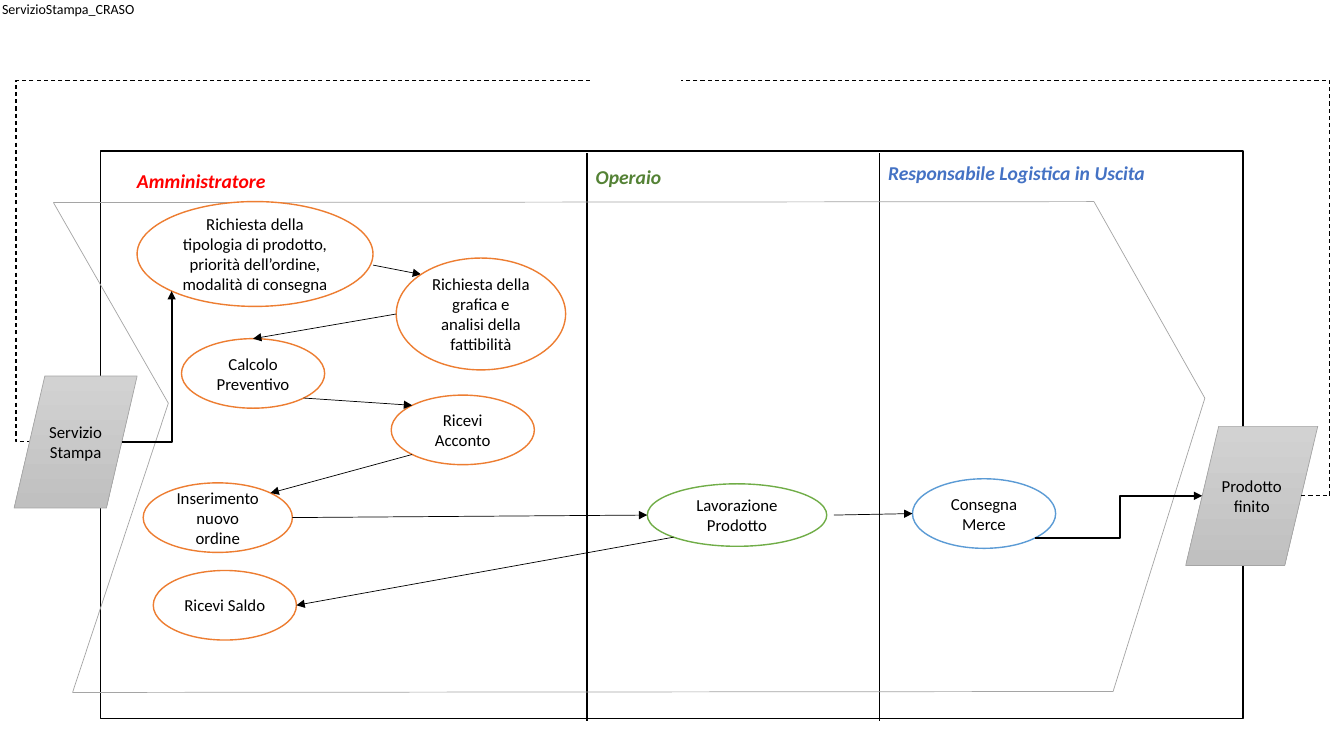
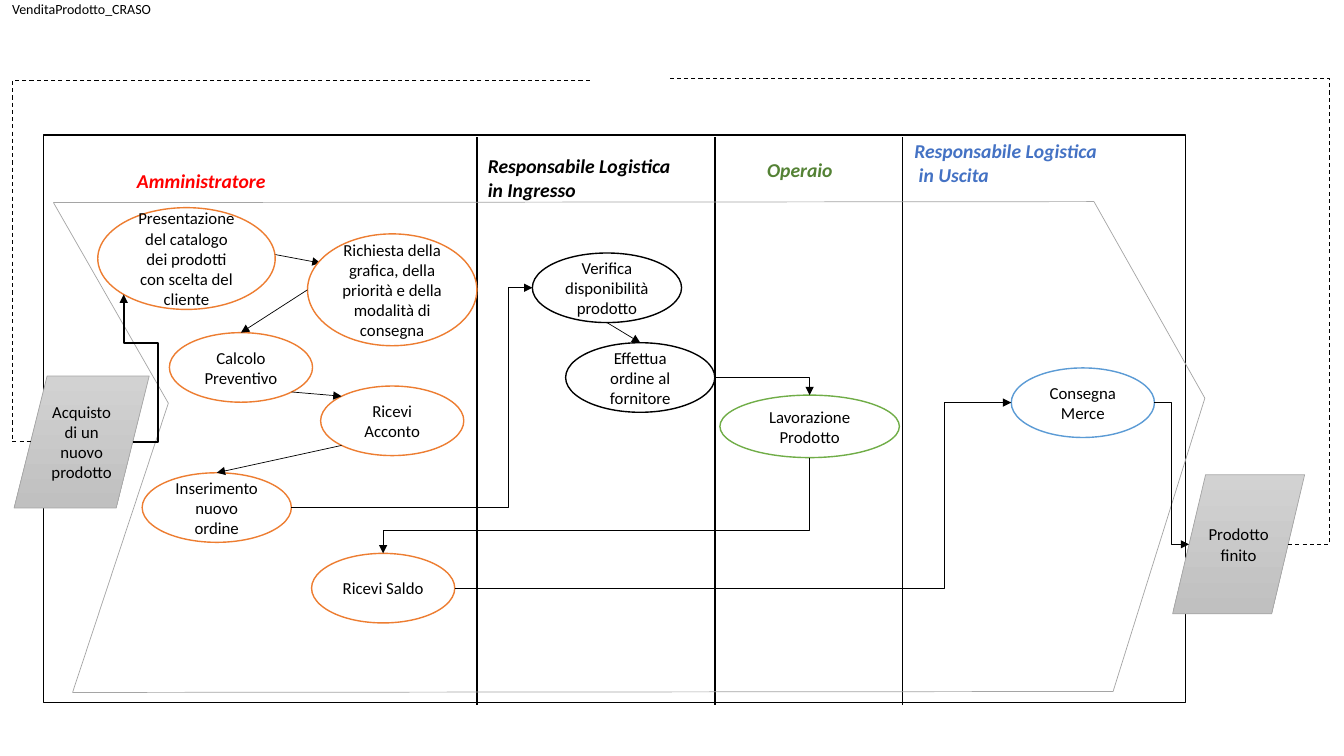
from dataclasses import dataclass
from math import cos, pi, sin
from typing import Optional, Union

from lxml.etree import SubElement
from pptx import Presentation
from pptx.dml.color import RGBColor
from pptx.enum.dml import MSO_LINE
from pptx.enum.shapes import MSO_CONNECTOR as Link, MSO_SHAPE as Form
from pptx.enum.text import MSO_ANCHOR as Anchor, MSO_AUTO_SIZE as Fit, PP_ALIGN as Align
from pptx.oxml.ns import qn
from pptx.util import Pt

PX = 9144
FONT = "Calibri"
HUES = {
    "black": "000000", "white": "FFFFFF", "gray": "A5A5A5",
    "light": "D2D2D2", "dark": "C0C0C0", "red": "FF0000",
    "moss": "548235", "navy": "4472C4", "orange": "ED7D31",
    "green": "70AD47", "blue": "5B9BD5",
}
SITES = ("E", "SE", "S", "SW", "W", "NW", "N", "NE")
WIDE, HIGH = 1133, 563
THIN, BOLD = 0.5, 1.5
Point = tuple[float, float]


@dataclass(frozen=True)
class Lane:
    """Heading of one role."""
    text: str
    x: int
    y: int
    hue: str
    w: int = 306


@dataclass(frozen=True)
class Step:
    """Oval that holds one activity."""
    text: str
    x: int
    y: int
    w: int = 142
    h: int = 69
    hue: str = "orange"

    def site(self, side: str) -> Point:
        """Return a point on the outline by compass name."""
        turn = SITES.index(side) * pi / 4
        rx, ry = self.w / 2, self.h / 2
        return self.x + rx + rx * cos(turn), self.y + ry + ry * sin(turn)


@dataclass(frozen=True)
class Gate:
    """Slanted box at the start or end of the process."""
    text: str
    x: int
    y: int
    w: int = 131
    h: int = 138

    def site(self, side: str) -> Point:
        """Return the middle of the left or right edge."""
        skew = min(self.w, self.h) / 8
        x = self.x + skew if side == "W" else self.x + self.w - skew
        return x, self.y + self.h / 2


@dataclass(frozen=True)
class Flow:
    """Line between two ends, bent at the given turns unless they are None."""
    start: Union[str, Point]
    end: Union[str, Point]
    turns: Optional[tuple[int, ...]] = None
    wide: float = THIN
    hue: str = "black"
    head: bool = True
    dash: bool = False
    down: bool = False
    under: bool = False


@dataclass(frozen=True)
class Plan:
    """Content of one process slide."""
    name: str
    inset: int
    frame: tuple[int, int]
    rules: dict[int, float]
    lanes: list[Lane]
    nodes: dict[str, Union[Step, Gate]]
    flows: list[Flow]


def loop(start: Union[str, Point], end: Union[str, Point], turn: int) -> Flow:
    """Return a dashed line without an arrowhead."""
    return Flow(start, end, (turn,), 0.75, head=False, dash=True)


CORNERS = [(53, 201), (1085, 200), (1195, 395),
           (1104, 686), (72, 687), (167, 400)]
EDGES = [Flow(a, b, hue="gray", head=False)
         for a, b in zip(CORNERS, CORNERS[1:] + CORNERS[:1])]
ADMIN = Lane("Amministratore", 126, 163, "red")
SHARED = [
    Flow("art W", "quote N"),
    Flow("quote SE", "deposit NW"),
]

PLANS = [
    Plan(
        "ServizioStampa_CRASO", 2, (100, 150), {582: BOLD, 872: THIN},
        [ADMIN, Lane("Operaio", 581, 159, "moss"),
         Lane("Responsabile Logistica in Uscita", 871, 155, "navy")],
        {"type": Step("Richiesta della tipologia di prodotto, priorità "
                      "dell’ordine, modalità di consegna", 136, 200, 234, 104),
         "art": Step("Richiesta della grafica e analisi della fattibilità",
                     393, 256, 168, 111),
         "quote": Step("Calcolo Preventivo", 180, 336),
         "order": Step("Inserimento nuovo ordine", 142, 479, 148),
         "deposit": Step("Ricevi Acconto", 388, 392),
         "work": Step("Lavorazione Prodotto", 642, 480, 178, 62, "green"),
         "paid": Step("Ricevi Saldo", 152, 566),
         "ship": Step("Consegna Merce", 905, 475, hue="blue"),
         "first": Gate("Servizio Stampa", 14, 373, 122, 131),
         "last": Gate("Prodotto finito", 1176, 423)},
        SHARED + [
            Flow((370, 263), "art NW", under=True),
            Flow("deposit SW", "order NE"),
            Flow("order E", "work W"),
            Flow("work SW", "paid E"),
            Flow((827, 511), "ship W"),
            Flow("first E", "type SW", (), BOLD),
            Flow("ship SE", "last W", (1111,), BOLD),
            loop((585, 80), "first W", 16),
            loop("last E", (675, 80), 1319)],
    ),
    Plan(
        "VenditaProdotto_CRASO", 12, (43, 134),
        {473: BOLD, 709: BOLD, 895: THIN},
        [ADMIN,
         Lane("Responsabile Logistica in Ingresso", 474, 148, "black", 202),
         Lane("Operaio", 751, 152, "moss"),
         Lane("Responsabile Logistica\n in Uscita", 897, 133, "navy")],
        {"type": Step("Presentazione del catalogo dei prodotti con scelta "
                      "del cliente", 97, 206, 176, 101),
         "art": Step("Richiesta della grafica, della priorità e della "
                     "modalità di consegna", 305, 232, 168, 111),
         "quote": Step("Calcolo Preventivo", 168, 330),
         "order": Step("Inserimento nuovo ordine", 141, 469, 148),
         "deposit": Step("Ricevi Acconto", 318, 383),
         "work": Step("Lavorazione Prodotto", 714, 392, 178, 62, "green"),
         "paid": Step("Ricevi Saldo", 309, 549),
         "ship": Step("Consegna Merce", 1003, 365, hue="blue"),
         "stock": Step("Verifica disponibilità prodotto", 528, 251, 148,
                       hue="black"),
         "buy": Step("Effettua ordine al fornitore", 561, 340, 148,
                     hue="black"),
         "first": Gate("Acquisto di un nuovo prodotto", 14, 373, 134, 131),
         "last": Gate("Prodotto finito", 1163, 471)},
        SHARED + [
            Flow((270, 252), (318, 261), under=True),
            Flow("deposit SW", "order N"),
            Flow("stock S", "buy N"),
            Flow("order E", "stock W", (504,)),
            Flow("buy E", "work N", ()),
            Flow("work S", "paid N", (526,), down=True),
            Flow("paid E", "ship W", (937,)),
            Flow("ship E", "last W", (1162,)),
            Flow("first E", "type SW", (157, 340), BOLD),
            loop((585, 80), "first W", 12),
            loop("last E", (664, 78), 1319)],
    ),
]


def tint(hue: str) -> RGBColor:
    """Return the named colour."""
    return RGBColor.from_string(HUES[hue])


def area(x: int, y: int, w: int, h: int) -> tuple[int, ...]:
    """Return a box in EMU."""
    return tuple(n * PX for n in (x, y, w, h))


def write(frame, text: str, size: int, hue: str = "black",
          bold: bool = False, align=Align.LEFT) -> None:
    """Fill a text frame, one paragraph for each line."""
    frame.word_wrap = True
    for i, line in enumerate(text.split("\n")):
        par = frame.add_paragraph() if i else frame.paragraphs[0]
        par.alignment = align
        run = par.add_run()
        run.text = line
        font = run.font
        font.name, font.size = FONT, Pt(size)
        font.bold = font.italic = bold
        font.color.rgb = tint(hue)


def shape(slide, form, box: tuple[int, ...], hue: str, wide: float = 1):
    """Add a white outlined shape."""
    item = slide.shapes.add_shape(form, *box)
    item.shadow.inherit = False
    item.fill.solid()
    item.fill.fore_color.rgb = tint("white")
    item.line.color.rgb = tint(hue)
    item.line.width = Pt(wide)
    return item


def find(plan: Plan, end: Union[str, Point]) -> Point:
    """Return the point that a flow end stands for."""
    if not isinstance(end, str):
        return end
    key, side = end.split()
    return plan.nodes[key].site(side)


def draw(slide, plan: Plan, flow: Flow) -> None:
    """Add a straight or bent connector."""
    start, end = find(plan, flow.start), find(plan, flow.end)
    ends = [*start, *end]
    if flow.down:
        mx, my = ((a + b) / 2 for a, b in zip(start, end))
        dx, dy = ((b - a) / 2 for a, b in zip(start, end))
        ends = [mx - dy, my + dx, mx + dy, my - dx]
    bent = flow.turns is not None
    kind = Link.ELBOW if bent else Link.STRAIGHT
    link = slide.shapes.add_connector(kind, *(round(n * PX) for n in ends))
    link.line.color.rgb = tint(flow.hue)
    link.line.width = Pt(flow.wide)
    if flow.dash:
        link.line.dash_style = MSO_LINE.DASH
    if flow.head:
        SubElement(link.get_or_add_ln(), qn("a:tailEnd"), type="triangle")
    props = link.element.spPr
    SubElement(props, qn("a:effectLst"))
    if bent:
        geom = props.find(qn("a:prstGeom"))
        geom.set("prst", f"bentConnector{len(flow.turns) + 2}")
        guides = geom.find(qn("a:avLst"))
        for i, turn in enumerate(flow.turns):
            axis = (i + flow.down) % 2
            part = (turn - start[axis]) / (end[axis] - start[axis])
            SubElement(guides, qn("a:gd"), name=f"adj{i + 1}",
                       fmla=f"val {round(part * 100000)}")
    if flow.down:
        props.find(qn("a:xfrm")).set("rot", "5400000")


def head(slide, plan: Plan) -> None:
    """Place the slide title in the top left corner."""
    title = slide.shapes.title
    title.left, title.top, title.width, title.height = area(plan.inset, 0, 280, 18)
    frame = title.text_frame
    frame.margin_left = frame.margin_right = 0
    frame.margin_top = frame.margin_bottom = 0
    frame.vertical_anchor = Anchor.TOP
    frame.auto_size = Fit.NONE
    write(frame, plan.name, 10)


def label(slide, lane: Lane) -> None:
    """Add a role heading."""
    box = slide.shapes.add_textbox(*area(lane.x, lane.y, lane.w, 34))
    write(box.text_frame, lane.text, 14, lane.hue, True)


def place(slide, node: Union[Step, Gate]) -> None:
    """Add an activity, or a start or end box with its gradient."""
    box = area(node.x, node.y, node.w, node.h)
    if isinstance(node, Step):
        item = shape(slide, Form.OVAL, box, node.hue)
    else:
        item = shape(slide, Form.PARALLELOGRAM, box, "gray", THIN)
        item.fill.gradient()
        item.fill.gradient_angle = 270
        for stop, hue in zip(item.fill.gradient_stops, ("light", "dark")):
            stop.color.rgb = tint(hue)
    write(item.text_frame, node.text, 12, align=Align.CENTER)


def build(deck, plan: Plan) -> None:
    """Add one process slide."""
    slide = deck.slides.add_slide(deck.slide_layouts[5])
    head(slide, plan)
    shape(slide, Form.RECTANGLE, area(*plan.frame, WIDE, HIGH), "black")
    top = plan.frame[1] + 2
    rules = [Flow((x, top), (x, top + HIGH), wide=wide, head=False)
             for x, wide in plan.rules.items()]
    low = [flow for flow in plan.flows if flow.under]
    for flow in rules + EDGES + low:
        draw(slide, plan, flow)
    for lane in plan.lanes:
        label(slide, lane)
    for node in plan.nodes.values():
        place(slide, node)
    for flow in plan.flows:
        if not flow.under:
            draw(slide, plan, flow)


def main() -> None:
    """Build and save the deck."""
    deck = Presentation()
    deck.slide_width, deck.slide_height = 1333 * PX, 750 * PX
    for plan in PLANS:
        build(deck, plan)
    deck.save("out.pptx")


if __name__ == "__main__":
    main()
